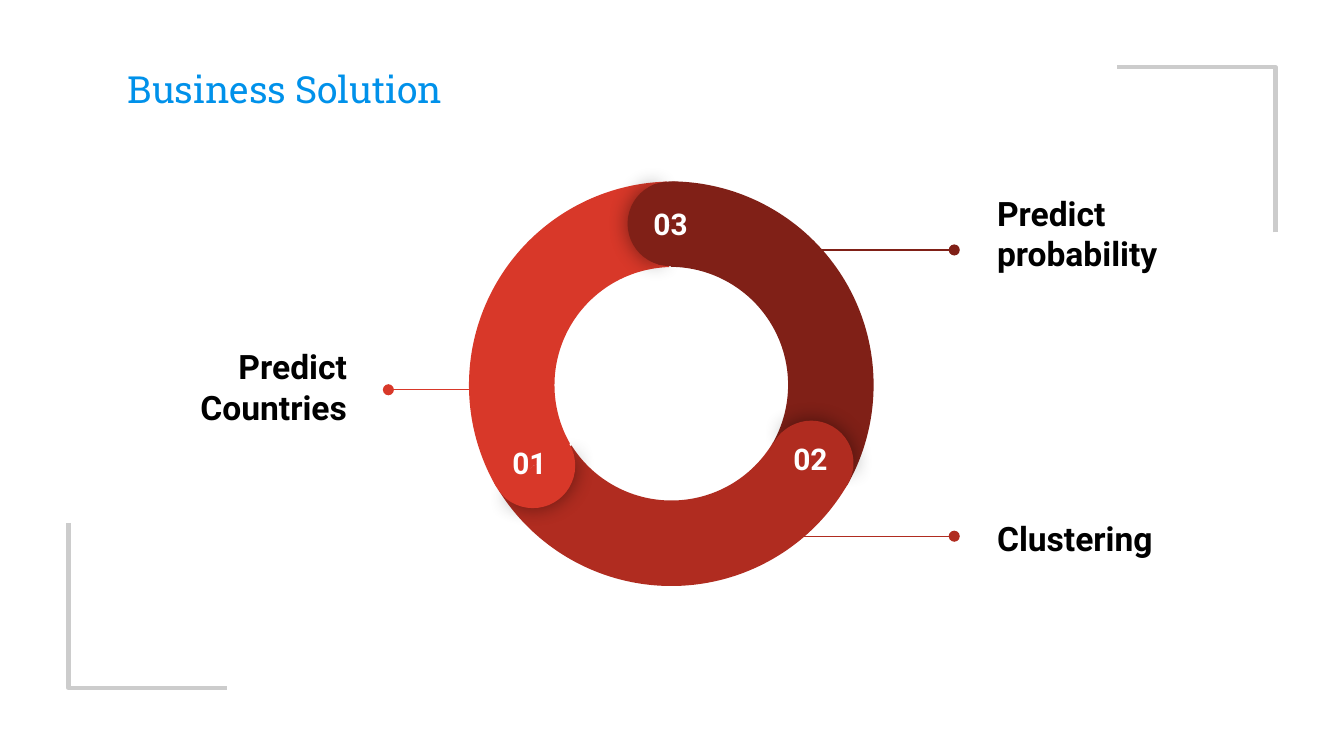
from lxml.etree import SubElement
from pptx import Presentation
from pptx.dml.color import RGBColor
from pptx.enum.shapes import MSO_CONNECTOR, MSO_SHAPE
from pptx.enum.text import MSO_ANCHOR, PP_ALIGN
from pptx.oxml.ns import qn
from pptx.util import Inches, Pt

COLORS = {
    "bright": "D83829",
    "medium": "B02C20",
    "dark": "802017",
    "title": "0091EA",
    "bracket": "CCCCCC",
    "black": "000000",
    "white": "FFFFFF",
}
RING_SIZE = 3.03
CAP_SIZE = 0.63
ARCS = [
    ("dark", 0, 0.02, 60, 197.82),
    ("medium", 0.01, 0, 180, 196.63),
    ("bright", 0.02, 0.02, 300, 197.03),
]
CAPS = [
    ("01", "bright", 0.18, 1.82, 240, 0.01, 0.06),
    ("03", "dark", 1.2, 0.02, 0, 0.04, 0.08),
    ("02", "medium", 2.25, 1.8, 120, 0.03, 0.05),
]
CALLOUTS = [
    ("Predict Countries", "bright", (0.64, 2.17, 2.04, 1.41), (3.58, 2.89, 2.9), PP_ALIGN.RIGHT, 0.1),
    ("Predict probability", "dark", (7.32, 1.16, 2.15, 1.41), (5.7, 7.1, 1.86), PP_ALIGN.LEFT, 0.36),
    ("Clustering", "medium", (7.32, 3.3, 2.32, 1.41), (5.7, 7.1, 3.99), PP_ALIGN.LEFT, 0.1),
]


def color(name):
    """Return the named palette color."""
    return RGBColor.from_string(COLORS[name])


def write_text(box, text, size, ink, font="Roboto", bold=False, align=PP_ALIGN.LEFT,
               anchor=MSO_ANCHOR.MIDDLE, bottom=0.1, line_spacing=None, space_after=None):
    """Write one formatted paragraph into a box."""
    frame = box.text_frame
    frame.word_wrap = True
    frame.vertical_anchor = anchor
    frame.margin_left = frame.margin_right = frame.margin_top = Inches(0.1)
    frame.margin_bottom = Inches(bottom)
    para = frame.paragraphs[0]
    para.alignment = align
    para.line_spacing = line_spacing
    para.space_after = space_after
    span = para.add_run()
    span.text = text
    span.font.name = font
    span.font.size = Pt(size)
    span.font.bold = bold
    span.font.color.rgb = color(ink)


def add_piece(shapes, kind, left, top, size, fill, turn, adjustments):
    """Add a rotated, unlined part of the ring and return it."""
    piece = shapes.add_shape(kind, Inches(left), Inches(top), Inches(size), Inches(size))
    for index, value in enumerate(adjustments):
        piece.adjustments[index] = value
    piece.rotation = turn % 360
    piece.shadow.inherit = False
    piece.fill.solid()
    piece.fill.fore_color.rgb = color(fill)
    piece.line.fill.background()
    return piece


def add_glow(piece):
    """Give a piece a soft black shadow on all sides."""
    effects = piece.element.spPr.find(qn("a:effectLst"))
    shadow = SubElement(effects, qn("a:outerShdw"), blurRad=str(Pt(11.2)), dist="0",
                        dir="0", algn="ctr", rotWithShape="0")
    tint = SubElement(shadow, qn("a:srgbClr"), val=COLORS["black"])
    SubElement(tint, qn("a:alpha"), val="43000")


def add_bracket(page, left, top, width, height, at_right):
    """Draw a corner bracket along two sides of its box."""
    right, bottom = left + width, top + height
    if at_right:
        points = [(right, bottom), (right, top), (left, top)]
    else:
        points = [(left, top), (left, bottom), (right, bottom)]
    points = [(Inches(x), Inches(y)) for x, y in points]
    builder = page.shapes.build_freeform(*points[0])
    builder.add_line_segments(points[1:], close=False)
    bracket = builder.convert_to_shape()
    bracket.shadow.inherit = False
    bracket.fill.background()
    bracket.line.color.rgb = color("bracket")
    bracket.line.width = Pt(2.25)


def add_title(page, left, top, width, height):
    """Place and format the title placeholder."""
    title = page.shapes.title
    title.left, title.top = Inches(left), Inches(top)
    title.width, title.height = Inches(width), Inches(height)
    write_text(title, "Business Solution", 20, "title", font="Roboto Slab",
               line_spacing=1.15, space_after=Pt(16))


def add_callout(page, text, ink, area, leader, align, bottom):
    """Add a label and the dotted leader line that ties it to the ring."""
    shapes = page.shapes.add_group_shape().shapes
    box = shapes.add_textbox(*map(Inches, area))
    write_text(box, text, 18, "black", bold=True, align=align, bottom=bottom)
    start, end, level = map(Inches, leader)
    line = shapes.add_connector(MSO_CONNECTOR.STRAIGHT, start, level, end, level)
    line.line.color.rgb = color(ink)
    line.line.width = Pt(0.75)
    properties = line.element.spPr
    SubElement(properties.find(qn("a:ln")), qn("a:tailEnd"), type="oval")
    SubElement(properties, qn("a:effectLst"))


def add_ring(page, left, top):
    """Build the three-part ring with rounded, numbered ends."""
    shapes = page.shapes.add_group_shape().shapes
    for fill, x, y, turn, sweep_end in ARCS:
        add_piece(shapes, MSO_SHAPE.BLOCK_ARC, left + x, top + y, RING_SIZE,
                  fill, turn, (126.23, sweep_end, 0.21))
    for number, fill, x, y, turn, label_x, label_y in CAPS:
        cap = (left + x, top + y, CAP_SIZE, fill)
        add_glow(add_piece(shapes, MSO_SHAPE.PIE, *cap, turn + 0.65, (61.9, 149.96)))
        add_piece(shapes, MSO_SHAPE.PIE, *cap, turn + 180, (40.28, 171.84))
        box = shapes.add_textbox(Inches(left + x + label_x), Inches(top + y + label_y),
                                 Inches(0.56), Inches(0.29))
        write_text(box, number, 16, "white", bold=True, align=PP_ALIGN.CENTER,
                   anchor=MSO_ANCHOR.TOP)


def main():
    """Build and save the one-page deck."""
    deck = Presentation()
    deck.slide_width = Inches(10)
    deck.slide_height = deck.slide_width * 9 // 16
    page = deck.slides.add_slide(deck.slide_layouts[5])
    add_bracket(page, 8.31, 0.5, 1.18, 1.23, at_right=True)
    add_bracket(page, 0.51, 3.89, 1.18, 1.23, at_right=False)
    add_title(page, 0.85, 0.13, 8.31, 1.01)
    for callout in CALLOUTS:
        add_callout(page, *callout)
    add_ring(page, 3.47, 1.33)
    deck.save("out.pptx")


if __name__ == "__main__":
    main()
